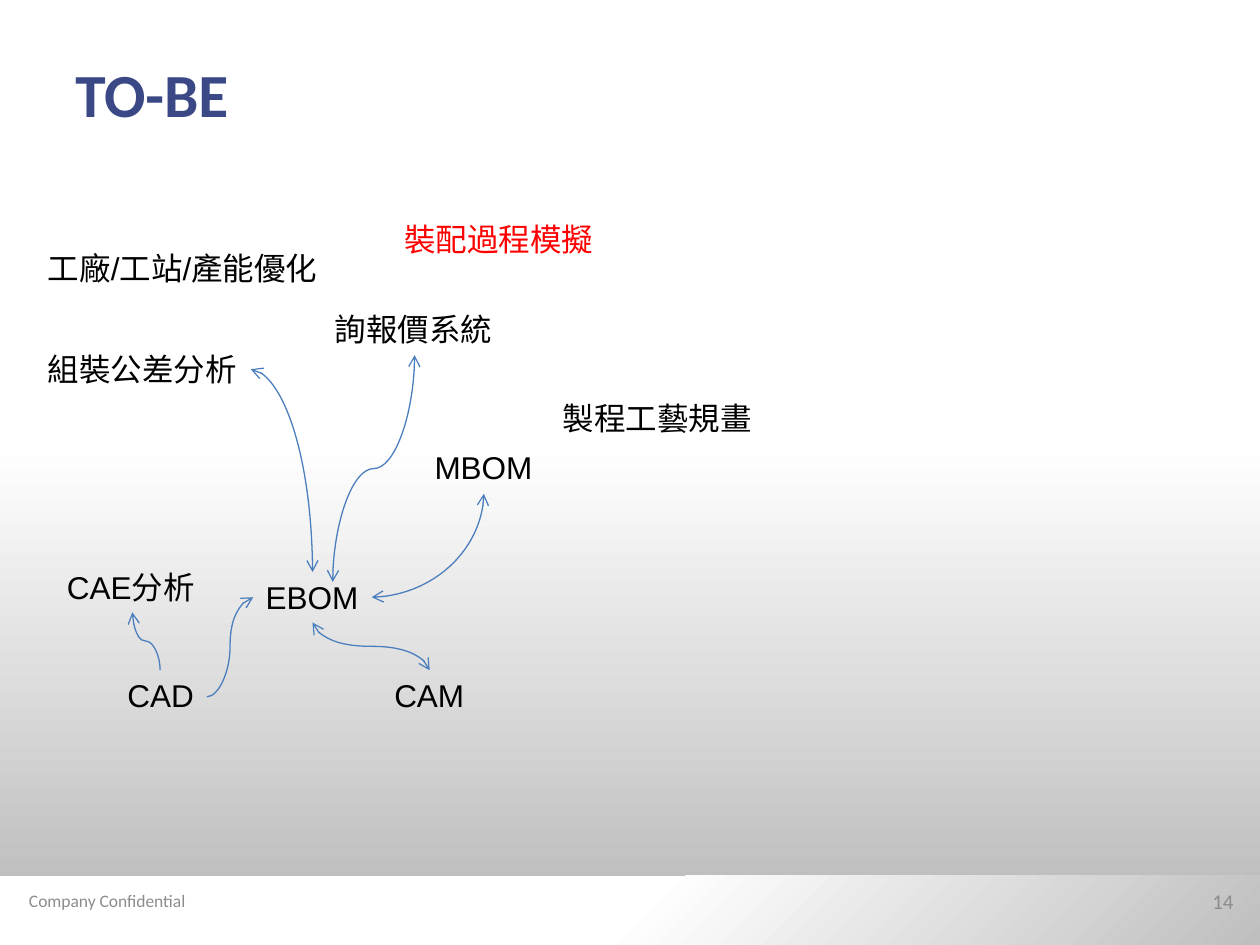
from dataclasses import dataclass

from lxml.etree import SubElement
from pptx import Presentation
from pptx.dml.color import RGBColor
from pptx.enum.shapes import MSO_CONNECTOR, MSO_SHAPE
from pptx.enum.text import MSO_ANCHOR, MSO_AUTO_SIZE, PP_ALIGN
from pptx.oxml import parse_xml
from pptx.oxml.ns import nsdecls, qn
from pptx.util import Pt


@dataclass(frozen=True)
class Theme:
    navy: str = "3A4886"
    black: str = "000000"
    red: str = "FF0000"
    muted: str = "8C8C8C"
    arrow: str = "4B7EBC"
    shade: str = "BFBFBF"
    white: str = "FFFFFF"
    heading_font: str = "Calibri"
    body_font: str = "Arial"
    title_size: float = 35
    label_size: float = 18
    number_size: float = 12
    footer_size: float = 10
    line_width: float = 0.75


THEME = Theme()
WIDTH, HEIGHT = 720, 540
UPWARD = '<a:lin ang="16200000" scaled="0"/>'
FROM_CORNER = '<a:path path="circle"><a:fillToRect l="100000" t="100000"/></a:path>'


def add_text(page, box, text, size, color, font, bold=False,
             align=PP_ALIGN.LEFT, anchor=MSO_ANCHOR.MIDDLE):
    shape = page.shapes.add_textbox(*map(Pt, box))
    frame = shape.text_frame
    frame.text = text
    frame.word_wrap = True
    frame.vertical_anchor = anchor
    para = frame.paragraphs[0]
    para.alignment = align
    span = para.runs[0]
    span.font.size = Pt(size)
    span.font.bold = bold
    span.font.name = font
    span.font.color.rgb = RGBColor.from_string(color)
    return shape


def add_shading(page, box, direction):
    """Rectangle fading from grey to white at its halfway point."""
    shape = page.shapes.add_shape(MSO_SHAPE.RECTANGLE, *map(Pt, box))
    shape.shadow.inherit = False
    shape.line.fill.background()
    gradient = parse_xml(
        f'<a:gradFill {nsdecls("a")} rotWithShape="1"><a:gsLst>'
        f'<a:gs pos="0"><a:srgbClr val="{THEME.shade}"/></a:gs>'
        f'<a:gs pos="50000"><a:srgbClr val="{THEME.white}"/></a:gs>'
        f'</a:gsLst>{direction}</a:gradFill>')
    shape._element.spPr.find(qn("a:prstGeom")).addnext(gradient)


def add_curve(page, start, end, preset="curvedConnector3", upright=True, both=True):
    """Curved arrow; an upright one leaves its start vertically."""
    dx, dy = end[0] - start[0], end[1] - start[1]
    width, height = abs(dx), abs(dy)
    turn, flip_h, flip_v = 0, dx < 0, dy < 0
    if upright:
        width, height = height, width
        if (dx > 0) == (dy > 0):
            turn, flip_h, flip_v = 270, dy > 0, dx < 0
        else:
            turn, flip_h, flip_v = 90, dy < 0, dx > 0
    left = (start[0] + end[0] - width) / 2
    top = (start[1] + end[1] - height) / 2
    curve = page.shapes.add_connector(
        MSO_CONNECTOR.CURVE, Pt(left), Pt(top), Pt(left + width), Pt(top + height))
    curve.line.color.rgb = RGBColor.from_string(THEME.arrow)
    curve.line.width = Pt(THEME.line_width)
    properties = curve._element.spPr
    properties.find(qn("a:prstGeom")).set("prst", preset)
    frame = properties.find(qn("a:xfrm"))
    for name, value in (("rot", turn * 60000), ("flipH", int(flip_h)), ("flipV", int(flip_v))):
        if value:
            frame.set(name, str(value))
    line = properties.find(qn("a:ln"))
    for tag in ("a:headEnd", "a:tailEnd") if both else ("a:tailEnd",):
        SubElement(line, qn(tag)).set("type", "arrow")
    SubElement(properties, qn("a:effectLst"))


def add_backdrop(page, box):
    left, top, width, height = box
    add_shading(page, (left, top, width, height - 34), UPWARD)
    add_shading(page, (left, top + height - 39.6, width, 39.6), FROM_CORNER)


def add_title(page, box):
    add_text(page, box, "TO-BE", THEME.title_size, THEME.navy, THEME.heading_font, bold=True)


def add_footer(page, box):
    left, top, width, height = box
    add_text(page, (left, top, 122.4, height), "Company Confidential",
             THEME.footer_size, THEME.muted, THEME.heading_font, align=PP_ALIGN.CENTER)
    add_text(page, (left + width - 190, top, 182, height), "14",
             THEME.number_size, THEME.muted, THEME.heading_font, align=PP_ALIGN.RIGHT)


def add_system_map(page, box):
    left, top = box[:2]
    # Labels: text, offset x, offset y, width, colour
    labels = [
        ("CAD", 45.5, 260.6, 52.6, THEME.black),
        ("CAE分析", 11, 198.7, 88.6, THEME.black),
        ("組裝公差分析", 0, 74.2, 124, THEME.black),
        ("EBOM", 124.5, 204.5, 68.6, THEME.black),
        ("MBOM", 221, 130.3, 71.4, THEME.black),
        ("CAM", 198, 260.6, 54.8, THEME.black),
        ("詢報價系統", 164, 51.1, 105.2, THEME.black),
        ("製程工藝規畫", 294.4, 102.2, 124, THEME.black),
        ("工廠/工站/產能優化", 0, 16.5, 170, THEME.black),
        ("裝配過程模擬", 203.8, 0, 124, THEME.red),
    ]
    for text, x, y, width, color in labels:
        shape = add_text(page, (left + x, top + y, width, 29), text, THEME.label_size,
                         color, THEME.body_font, anchor=MSO_ANCHOR.TOP)
        shape.text_frame.auto_size = MSO_AUTO_SIZE.SHAPE_TO_FIT_TEXT

    # Arrows: start, end, options
    quarter = "curvedConnector2"
    arrows = [
        ((71.3, 260.6), (55.4, 227.5), {"both": False}),
        ((98, 275.8), (124.5, 218.9), {"both": False, "upright": False}),
        ((158.4, 204.5), (123.1, 88.6), {"preset": quarter}),
        ((192.2, 218.9), (256.3, 159.8), {"preset": quarter, "upright": False}),
        ((158.4, 233.3), (225.4, 260.6), {}),
        ((169.9, 210.2), (216.7, 80.6), {}),
    ]
    for start, end, options in arrows:
        add_curve(page, (left + start[0], top + start[1]),
                  (left + end[0], top + end[1]), **options)


deck = Presentation()
deck.slide_width, deck.slide_height = Pt(WIDTH), Pt(HEIGHT)
page = deck.slides.add_slide(deck.slide_layouts[6])
add_backdrop(page, (0, 0, WIDTH, HEIGHT))
add_title(page, (36, 21.6, 648, 62.6))
add_footer(page, (0, 500.4, WIDTH, 28.8))
add_system_map(page, (20.2, 122.4, 420, 290))
deck.save("out.pptx")
